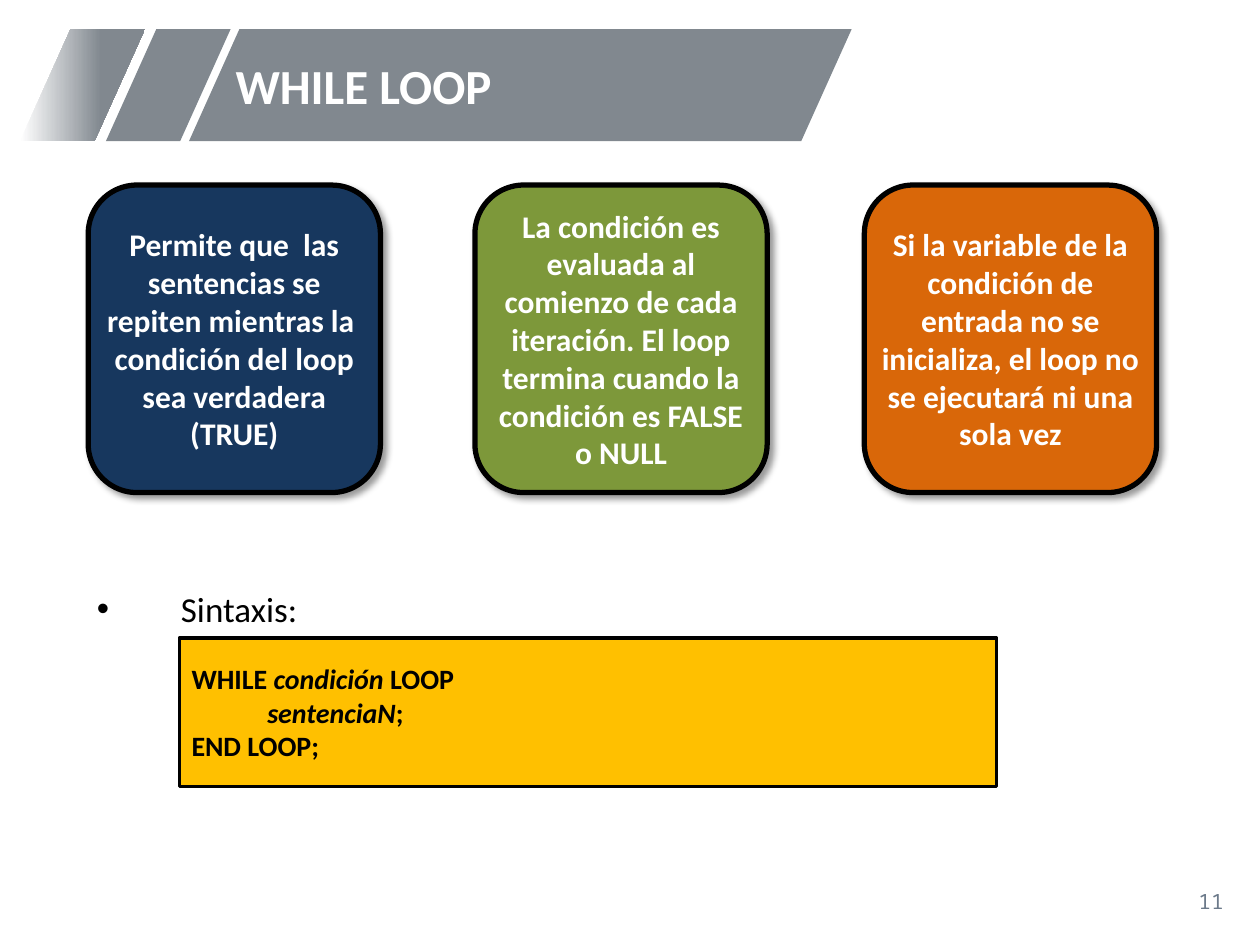
from lxml import etree
from pptx import Presentation
from pptx.dml.color import RGBColor
from pptx.enum.shapes import MSO_SHAPE
from pptx.enum.text import MSO_ANCHOR, MSO_AUTO_SIZE, PP_ALIGN
from pptx.oxml import parse_xml
from pptx.oxml.ns import nsdecls, qn
from pptx.util import Pt

PARALLELOGRAM = MSO_SHAPE.PARALLELOGRAM
RECTANGLE = MSO_SHAPE.RECTANGLE
ROUNDED_RECTANGLE = MSO_SHAPE.ROUNDED_RECTANGLE
MIDDLE = MSO_ANCHOR.MIDDLE
NO_AUTOFIT = MSO_AUTO_SIZE.NONE
LEFT, CENTER, RIGHT = PP_ALIGN.LEFT, PP_ALIGN.CENTER, PP_ALIGN.RIGHT

WHITE = RGBColor(0xFF, 0xFF, 0xFF)
BLACK = RGBColor(0x00, 0x00, 0x00)
GRAY = RGBColor(0x81, 0x88, 0x8F)
NUMBER_GRAY = RGBColor(0x6C, 0x7A, 0x8A)
NAVY = RGBColor(0x17, 0x37, 0x5E)
GREEN = RGBColor(0x7D, 0x98, 0x3A)
ORANGE = RGBColor(0xD9, 0x67, 0x09)
AMBER = RGBColor(0xFF, 0xC0, 0x00)

SHADOW = (
    f'<a:outerShdw {nsdecls("a")} blurRad="50800" dist="38100" dir="2700000" '
    'algn="tl" rotWithShape="0"><a:srgbClr val="000000">'
    '<a:alpha val="40000"/></a:srgbClr></a:outerShdw>'
)


def place(shape, left, top, width, height):
    shape.left, shape.top = Pt(left), Pt(top)
    shape.width, shape.height = Pt(width), Pt(height)


def format_text(paragraph, size, color, alignment, bold=False, font_name="Calibri"):
    paragraph.alignment = alignment
    for run in paragraph.runs:
        run.font.name = font_name
        run.font.size = Pt(size)
        run.font.bold = bold
        run.font.color.rgb = color


presentation = Presentation()
presentation.slide_width, presentation.slide_height = Pt(720), Pt(540)
slide = presentation.slides.add_slide(presentation.slide_layouts[1])
shapes = slide.shapes

# Slanted banner behind the title
for left, width in ((108, 378.7), (60.5, 71.3), (11.5, 71.3)):
    banner = shapes.add_shape(PARALLELOGRAM, Pt(left), Pt(16.6), Pt(width), Pt(64.1))
    banner.adjustments[0] = 0.45
    banner.shadow.inherit = False
    banner.line.fill.background()
    banner.fill.solid()
    banner.fill.fore_color.rgb = GRAY

# The leftmost piece fades to white
banner.fill.gradient()
banner.fill.gradient_angle = 0
for stop, position, color in zip(banner.fill.gradient_stops, (0, 0.65), (WHITE, GRAY)):
    stop.position = position
    stop.color.rgb = color

# Title, brought in front of the banner
title = shapes.title
title.element.getparent().append(title.element)
place(title, 127.4, 16.6, 337.7, 64.1)
title.text_frame.text = "WHILE LOOP"
title.text_frame.vertical_anchor = MIDDLE
title.text_frame.auto_size = NO_AUTOFIT
format_text(title.text_frame.paragraphs[0], 28, WHITE, LEFT, bold=True)

# Three idea cards
cards = (
    (50.4, NAVY, "Permite que  las sentencias se repiten mientras la  condición "
                 "del loop sea verdadera (TRUE)"),
    (271.4, GREEN, "La condición es evaluada al comienzo de cada iteración. "
                   "El loop termina cuando la condición es FALSE o NULL"),
    (493.9, ORANGE, "Si la variable de la condición de entrada no se inicializa, "
                    "el loop no se ejecutará ni una sola vez"),
)
for left, color, text in cards:
    card = shapes.add_shape(ROUNDED_RECTANGLE, Pt(left), Pt(105.8), Pt(167), Pt(175.7))
    card.fill.solid()
    card.fill.fore_color.rgb = color
    card.line.color.rgb = BLACK
    card.line.width = Pt(3)
    card.shadow.inherit = False
    card.element.spPr.find(qn("a:effectLst")).append(parse_xml(SHADOW))
    frame = card.text_frame
    frame.margin_left = frame.margin_right = frame.margin_top = frame.margin_bottom = 0
    frame.word_wrap = True
    frame.vertical_anchor = MIDDLE
    frame.text = text
    format_text(frame.paragraphs[0], 18, WHITE, CENTER, bold=True)

# Syntax bullet
body = slide.placeholders[1]
place(body, 48.2, 331.5, 617.8, 32.4)
body.text_frame.text = "Sintaxis:"
body.text_frame.vertical_anchor = MIDDLE
body.text_frame.auto_size = NO_AUTOFIT
paragraph = body.text_frame.paragraphs[0]
properties = paragraph._p.get_or_add_pPr()
properties.set("marL", str(Pt(48)))
properties.set("indent", str(Pt(-48)))
etree.SubElement(properties, qn("a:buChar")).set("char", "•")
paragraph.space_before = Pt(0)
format_text(paragraph, 20, BLACK, LEFT)

# Code box
code_box = shapes.add_shape(RECTANGLE, Pt(102.4), Pt(364.6), Pt(467.2), Pt(84.8))
code_box.shadow.inherit = False
code_box.fill.solid()
code_box.fill.fore_color.rgb = AMBER
code_box.line.color.rgb = BLACK
code_box.line.width = Pt(1.75)
frame = code_box.text_frame
frame.word_wrap = True
frame.vertical_anchor = MIDDLE
code_lines = (
    (("WHILE ", False), ("condición", True), (" LOOP", False)),
    (("            ", False), ("sentenciaN", True), (";", False)),
    (("END LOOP;", False),),
)
for index, parts in enumerate(code_lines):
    paragraph = frame.add_paragraph() if index else frame.paragraphs[0]
    for text, italic in parts:
        run = paragraph.add_run()
        run.text = text
        run.font.italic = italic
    format_text(paragraph, 16, BLACK, LEFT, bold=True)

# Slide number
number = shapes.add_textbox(Pt(544.3), Pt(500.4), Pt(162), Pt(28.8))
number.text_frame.word_wrap = True
number.text_frame.vertical_anchor = MIDDLE
number.text_frame.text = "11"
format_text(number.text_frame.paragraphs[0], 12, NUMBER_GRAY, RIGHT,
            font_name="Noto Sans Mono")

presentation.save("out.pptx")
